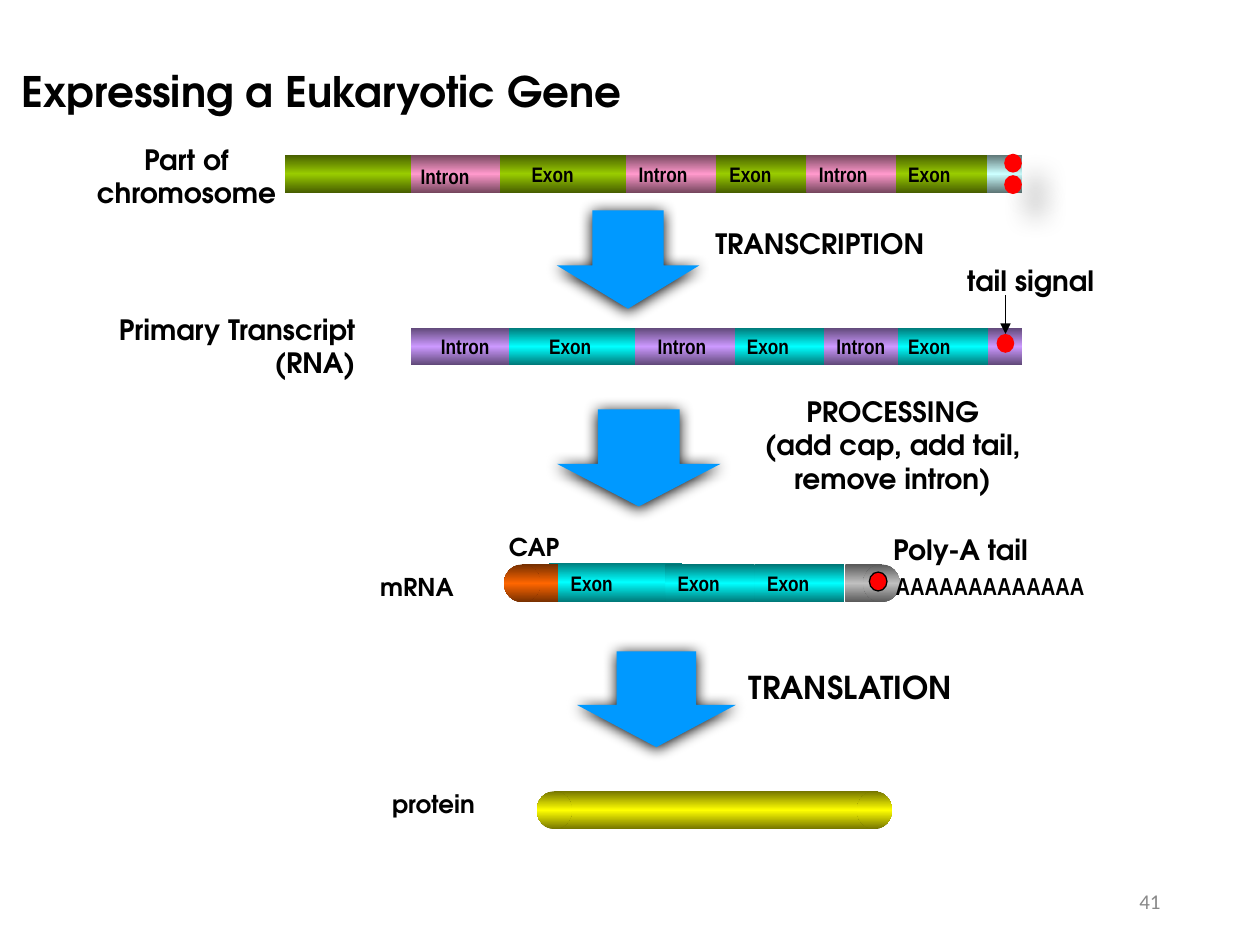
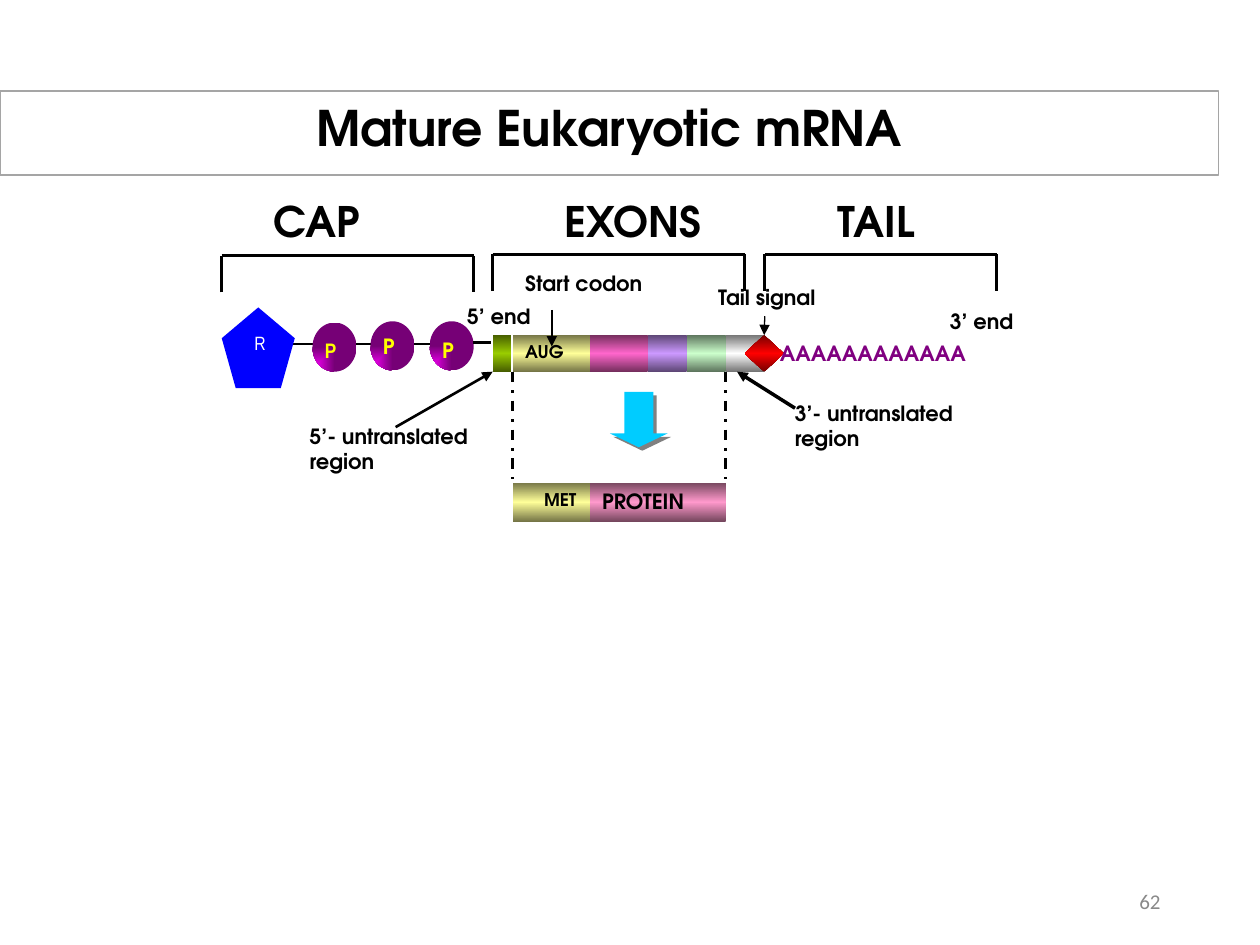
from lxml.etree import SubElement
from pptx import Presentation
from pptx.dml.color import RGBColor
from pptx.enum.dml import MSO_LINE
from pptx.enum.shapes import MSO_CONNECTOR, MSO_SHAPE
from pptx.enum.text import MSO_ANCHOR, MSO_AUTO_SIZE, PP_ALIGN
from pptx.oxml.ns import qn
from pptx.util import Pt

PX = 9144
DISPLAY, NARROW, PLAIN = "TeX Gyre Adventor", "Arial Narrow", "Calibri"
LEFT, CENTER, RIGHT = PP_ALIGN.LEFT, PP_ALIGN.CENTER, PP_ALIGN.RIGHT
RECT, OVAL = MSO_SHAPE.RECTANGLE, MSO_SHAPE.OVAL
EDGE_SHADE = 0.463
COLORS = {
    "black": "000000", "white": "FFFFFF", "grey": "898989", "frame": "A5A5A5",
    "step": "0099FF", "sky": "00CCFF", "shade": "808080", "red": "FF0000",
    "blue": "0000FF", "green": "99CC00", "pink": "FF99CC", "ice": "CCFFFF",
    "lilac": "CC99FF", "cyan": "00FFFF", "yellow": "FFFF00", "orange": "FF6600",
    "silver": "C0C0C0", "cream": "FFFF99", "rose": "FF66CC", "mint": "CCFFCC",
    "magenta": "FF00FF", "plum": "760076", "purple": "800080",
}
STEP_SHADOW = ("black", 100, 8.5, 1, 90)
DOT_SHADOW = ("black", 30, 15, 18, 45)
FLAT_SHADOW = ("shade", 100, 0, 2.8, 45)


def rgb(name):
    """Return the named colour."""
    return RGBColor.from_string(COLORS[name])


def darker(name):
    """Return the hex of the named colour as shaded at the edge of a tube."""
    return "".join(f"{round(v * EDGE_SHADE):02X}" for v in rgb(name))


def box_px(x, y, w, h):
    """Turn a box in px into EMU."""
    return [v * PX for v in (x, y, w, h)]


def add_child(parent, tag, **attrs):
    """Append a DrawingML element with attributes."""
    return SubElement(parent, qn(tag), {k: str(v) for k, v in attrs.items()})


def write(tf, text, size, font=DISPLAY, color="black", align=LEFT, bold=True,
          anchor=MSO_ANCHOR.TOP):
    """Fill a text frame with evenly formatted text."""
    tf.text = text
    tf.word_wrap = True
    tf.auto_size = MSO_AUTO_SIZE.NONE
    tf.vertical_anchor = anchor
    for p in tf.paragraphs:
        p.alignment = align
        for r in p.runs:
            r.font.size, r.font.name, r.font.bold = Pt(size), font, bold
            r.font.color.rgb = rgb(color)


def label(s, box, text, size, **style):
    """Add a text box."""
    write(s.shapes.add_textbox(*box_px(*box)).text_frame, text, size, **style)


def set_gradient(sp, stops):
    """Give a shape a vertical gradient of (percent, hex) stops."""
    sp.fill.gradient()
    sp.fill.gradient_angle = 270
    grad = sp.element.spPr.find(qn("a:gradFill"))
    gs_list = grad.find(qn("a:gsLst"))
    for gs in list(gs_list):
        gs_list.remove(gs)
    for percent, color in stops:
        gs = add_child(gs_list, "a:gs", pos=percent * 1000)
        add_child(gs, "a:srgbClr", val=color)
    return grad


def shape(s, kind, box, fill, line=None, shadow=None):
    """Add a preset shape with a flat fill and an optional outline and shadow."""
    sp = s.shapes.add_shape(kind, *box_px(*box))
    sp.fill.solid()
    sp.fill.fore_color.rgb = rgb(fill)
    if line:
        sp.line.color.rgb = rgb(line)
        sp.line.width = Pt(0.75)
    else:
        sp.line.fill.background()
    sp.shadow.inherit = False
    if shadow:
        color, alpha, blur, dist, angle = shadow
        effects = sp.element.spPr.find(qn("a:effectLst"))
        outer = add_child(effects, "a:outerShdw", blurRad=Pt(blur), dist=Pt(dist),
                          dir=angle * 60000, algn="ctr", rotWithShape=0)
        tint = add_child(outer, "a:srgbClr", val=COLORS[color])
        add_child(tint, "a:alpha", val=alpha * 1000)
    return sp


def tube(s, box, color, kind=RECT, line=None):
    """Add a shape lit along its middle and dark at its upper and lower edge."""
    sp = shape(s, kind, box, color, line)
    edge = darker(color)
    set_gradient(sp, [(0, edge), (50, COLORS[color]), (100, edge)])
    return sp


def connect(s, start, end, width=1.5, arrow=False, dash=None, target=None):
    """Add a straight line, ending at the top of the target if there is one."""
    c = s.shapes.add_connector(MSO_CONNECTOR.STRAIGHT, *[v * PX for v in (*start, *end)])
    if target:
        c.end_connect(target, 0)
    c.line.color.rgb = rgb("black")
    c.line.width = Pt(width)
    if dash:
        c.line.dash_style = dash
    if arrow:
        add_child(c.element.spPr.find(qn("a:ln")), "a:tailEnd", type="triangle")
    add_child(c.element.spPr, "a:effectLst")


def down_arrow(s, box, color, shadow, head):
    """Add a block arrow pointing down."""
    sp = shape(s, MSO_SHAPE.DOWN_ARROW, box, color, shadow=shadow)
    sp.adjustments[0], sp.adjustments[1] = 0.5, head


def new_slide(prs, title, number, box, size, align, frame):
    """Add a slide with a framed title and its number."""
    s = prs.slides.add_slide(prs.slide_layouts[5])
    t = s.shapes.title
    t.left, t.top, t.width, t.height = box_px(*box)
    t.fill.solid()
    t.fill.fore_color.rgb = rgb("white")
    t.line.color.rgb = rgb(frame)
    t.line.width = Pt(1)
    write(t.text_frame, title, size, align=align)
    label(s, (706, 695, 225, 40), number, 12, font=PLAIN, color="grey",
          align=RIGHT, bold=False, anchor=MSO_ANCHOR.MIDDLE)
    return s


def segment_names(s, x, y, names):
    """Name the segments of a strip by (offset, name)."""
    for dx, name in names:
        label(s, (x + dx, y, 72, 30), name, 12, font=NARROW)


def chromosome(s, x, y):
    """Draw the DNA strip with its introns and tail signals."""
    tube(s, (x, y, 585, 30), "green")
    for dx in (100, 271, 414):
        tube(s, (x + dx, y, 71, 30), "pink")
    segment_names(s, x, y + 2, [(98, "Intron")])
    segment_names(s, x, y, [(186, "Exon"), (271, "Intron"), (343, "Exon"),
                            (414, "Intron"), (485, "Exon")])
    tube(s, (x + 557, y, 28, 30), "ice")
    for dy in (-1, 16):
        shape(s, OVAL, (x + 571, y + dy, 14, 15), "red", shadow=DOT_SHADOW)
    label(s, (x - 168, y - 15, 180, 76), "Part of chromosome", 16, align=CENTER)


def transcript(s, x, y):
    """Draw the RNA strip with its exons and tail signal."""
    label(s, (x - 273, y - 17, 239, 91), "Primary Transcript (RNA)", 16, align=RIGHT)
    tube(s, (x, y, 485, 30), "lilac")
    for dx, w in ((78, 100), (257, 71), (387, 71)):
        tube(s, (x + dx, y, w, 30), "cyan")
    segment_names(s, x, y, [(14, "Intron"), (100, "Exon"), (186, "Intron"),
                            (257, "Exon"), (328, "Intron"), (385, "Exon")])
    dot = shape(s, OVAL, (x + 465, y + 5, 14, 15), "red")
    label(s, (x + 428, y - 56, 128, 45), "tail signal", 16, align=CENTER)
    connect(s, (x + 472, y - 26), (x + 472, y + 5), 0.75, arrow=True, target=dot)


def mrna(s, x, y):
    """Draw the spliced strip between its cap and its poly-A tail."""
    tube(s, (x + 35, y - 2, 107, 32), "cyan", line="white")
    for dx in (128, 199):
        tube(s, (x + dx, y, 71, 30), "cyan")
    segment_names(s, x, y, [(43, "Exon"), (128, "Exon"), (199, "Exon")])
    for color, block, end in (("orange", 14, 0), ("silver", 271, 285)):
        tube(s, (x + block, y, 29, 30), color)
        tube(s, (x + end, y, 29, 30), color, OVAL)
    shape(s, OVAL, (x + 290, y + 6, 14, 15), "red", line="black")
    label(s, (x + 301, y, 202, 38), "A" * 13, 14, font=NARROW)
    label(s, (x - 146, y + 1, 154, 76), "mRNA", 14, align=CENTER)
    label(s, (x + 299, y - 30, 168, 51), "Poly-A tail", 16)
    label(s, (x - 6, y - 31, 67, 33), "CAP", 14)


def protein(s, x, y):
    """Draw the rounded protein bar and its name."""
    tube(s, (x + 14, y, 257, 30), "yellow")
    for dx in (254, 0):
        tube(s, (x + dx, y, 28, 30), "yellow", OVAL)
    label(s, (x - 146, y - 7, 128, 45), "protein", 14, align=CENTER)


def expression_slide(prs):
    """Build the slide that leads from chromosome to protein."""
    s = new_slide(prs, "Expressing a Eukaryotic Gene", "41", (7, 47, 507, 50),
                  24, LEFT, "white")
    for box in ((442, 167, 113, 78), (442, 325, 130, 77), (458, 517, 126, 76)):
        down_arrow(s, box, "step", STEP_SHADOW, 0.44)
    label(s, (558, 175, 192, 26), "TRANSCRIPTION", 16)
    label(s, (567, 308, 283, 77), "PROCESSING\n(add cap, add tail, remove intron)",
          16, align=CENTER)
    label(s, (575, 525, 200, 33), "TRANSLATION", 18, align=CENTER)
    chromosome(s, 226, 123)
    transcript(s, 326, 260)
    protein(s, 426, 628)
    mrna(s, 400, 448)


def bracket(s, x, y, w, text, indent):
    """Draw a bracket open at the bottom with a heading above it."""
    corners = [(x, y + 29), (x, y), (x + w, y), (x + w, y + 29)]
    for start, end in zip(corners, corners[1:]):
        connect(s, start, end)
    label(s, (x + indent, 150, 138, 42), text, 24)


def cap_chain(s, x, y):
    """Draw the cap as a pentagon followed by three phosphates."""
    connect(s, (x + 46, y + 29), (x + 169, y + 29))
    phosphates = ((72, 12, 19, NARROW), (118, 11, 16, DISPLAY), (165, 11, 19, DISPLAY))
    for dx, dy, text_dy, font in phosphates:
        sp = shape(s, OVAL, (x + dx, y + dy, 35, 39), "magenta")
        grad = set_gradient(sp, [(0, COLORS["magenta"]), (100, COLORS["plum"])])
        grad.remove(grad.find(qn("a:lin")))
        corner = add_child(grad, "a:path", path="rect")
        add_child(corner, "a:fillToRect", t=100000, r=100000)
        label(s, (x + dx, y + text_dy, 35, 39), "P", 12, font=font, color="yellow")
    shape(s, MSO_SHAPE.REGULAR_PENTAGON, (x, y, 58, 64), "blue")
    label(s, (x + 16, y + 14, 47, 39), "R", 11, font=NARROW, color="white", bold=False)
    connect(s, (x + 199, y + 28), (x + 214, y + 28), 2)


def message_strip(s, x, y):
    """Draw the coding strip, the tail and the pointers to its parts."""
    tube(s, (x + 185, y, 31, 29), "white")
    tube(s, (x, y, 15, 29), "green")
    start = tube(s, (x + 16, y, 62, 29), "cream")
    write(start.text_frame, "AUG", 10)
    for dx, w, color in ((77, 46, "rose"), (123, 31, "lilac"), (154, 31, "mint")):
        tube(s, (x + dx, y, w, 29), color)
    signal = tube(s, (x + 200, y, 31, 29), "red", MSO_SHAPE.DIAMOND)
    label(s, (x + 218, y - 1, 215, 31), "A" * 12, 12, color="purple")
    notes = [(-155, 65, 154, "5’- untranslated region"), (230, 47, 154, "3’- untranslated region"),
             (169, -45, 108, "Tail signal"), (353, -26, 108, "3’ end"),
             (16, -56, 122, "Start codon"), (-30, -30, 77, "5’ end")]
    for dx, dy, w, text in notes:
        label(s, (x + dx, y + dy, w, 48), text, 12)
    connect(s, (x - 77, y + 73), (x, y + 29), arrow=True)
    connect(s, (x + 240, y + 58), (x + 194, y + 29), 2, arrow=True)
    connect(s, (x + 47, y - 20), (x + 47, y + 9), 0.75, arrow=True)
    connect(s, (x + 216, y - 15), (x + 216, y), 0.75, arrow=True, target=signal)


def product(s, x, y):
    """Draw the translated product below the coding strip."""
    tube(s, (x, y, 62, 31), "cream")
    label(s, (x + 15, y, 61, 29), "MET", 10)
    chain = tube(s, (x + 61, y, 108, 31), "pink")
    write(chain.text_frame, "PROTEIN", 12, align=PP_ALIGN.JUSTIFY)
    down_arrow(s, (x + 77, y - 72, 46, 44), "sky", FLAT_SHADOW, 0.25)
    for dx in (0, 169):
        connect(s, (x + dx, y - 88), (x + dx, y), dash=MSO_LINE.DASH_DOT)


def message_slide(prs):
    """Build the slide on the parts of the finished mRNA."""
    s = new_slide(prs, "Mature Eukaryotic mRNA", "62", (0, 72, 967, 67),
                  28, CENTER, "frame")
    cap_chain(s, 176, 244)
    product(s, 407, 383)
    bracket(s, 176, 203, 200, "CAP", 31)
    bracket(s, 391, 202, 200, "EXONS", 47)
    bracket(s, 607, 202, 184, "TAIL", 48)
    message_strip(s, 391, 266)


def main():
    """Build and save both slides."""
    prs = Presentation()
    prs.slide_width, prs.slide_height = 1000 * PX, 750 * PX
    expression_slide(prs)
    message_slide(prs)
    prs.save("out.pptx")


if __name__ == "__main__":
    main()
